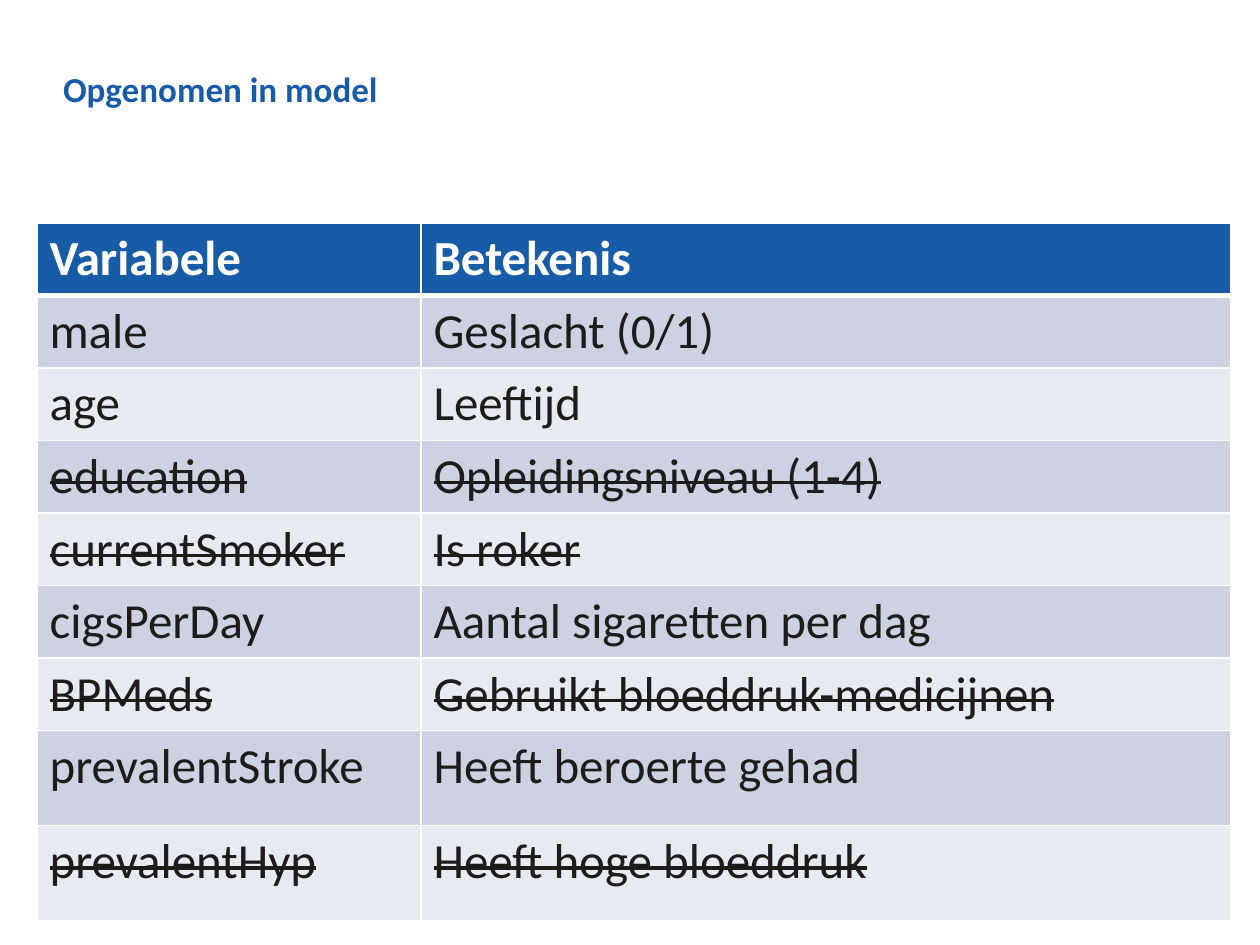
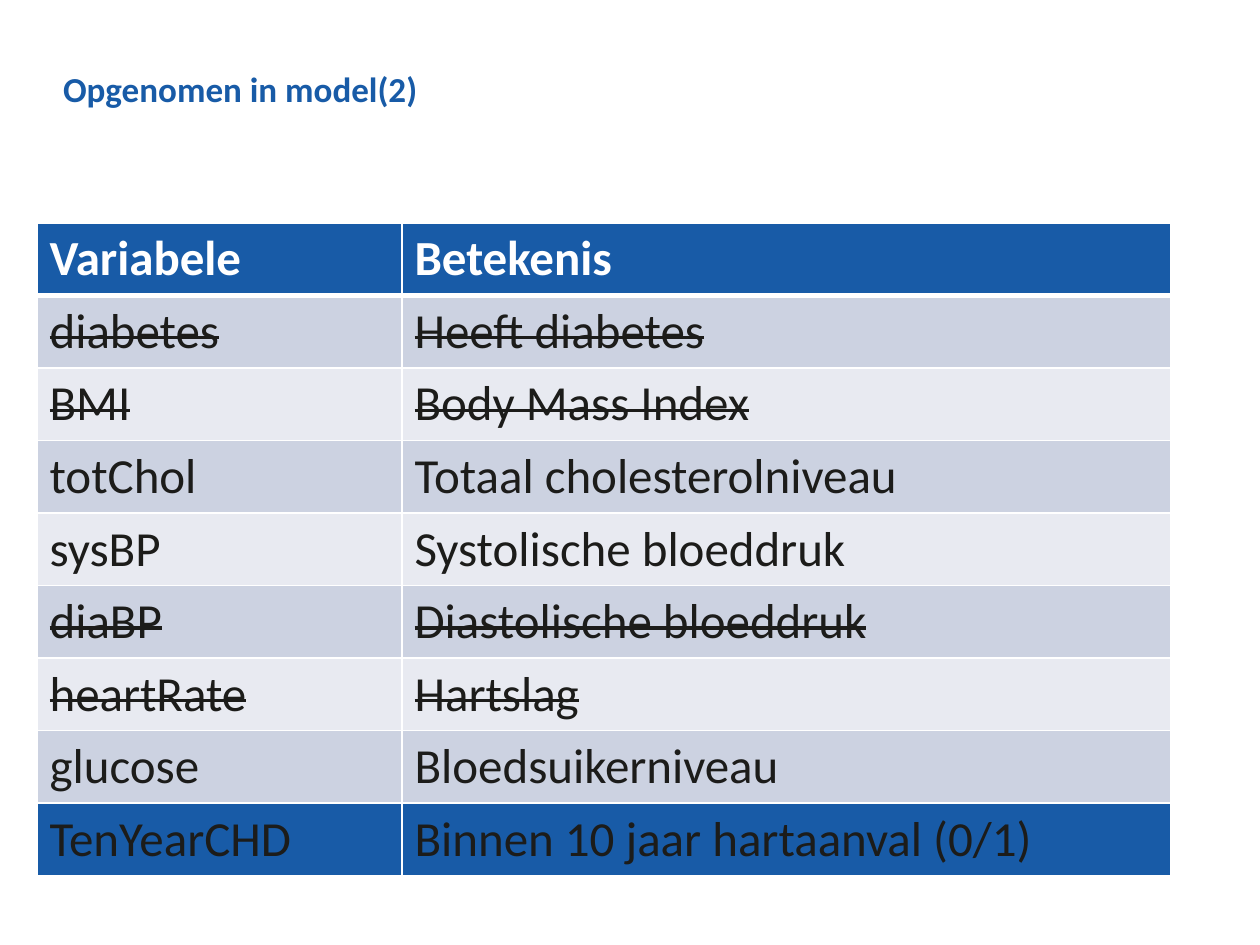
from lxml import etree
from pptx import Presentation
from pptx import util as u
from pptx.dml.color import RGBColor
from pptx.enum import text
from pptx.oxml.ns import qn

PIXELS_PER_INCH = 126
FONT = "Calibri"
BLUE, WHITE, INK = "185BA7", "FFFFFF", "1C1C1A"
BANDS = ("CCD2E1", "E8EAF1")
HEADINGS = ("Variabele", "Betekenis")
TABLE_LEFT, TABLE_TOP = 37, 223
ROW_HEIGHT, TALL_ROW_HEIGHT = 72, 95

MODEL_ROWS = [
    ("male", "Geslacht (0/1)"),
    ("age", "Leeftijd"),
    ("education", "Opleidingsniveau (1-4)"),
    ("currentSmoker", "Is roker"),
    ("cigsPerDay", "Aantal sigaretten per dag"),
    ("BPMeds", "Gebruikt bloeddruk-medicijnen"),
    ("prevalentStroke", "Heeft beroerte gehad"),
    ("prevalentHyp", "Heeft hoge bloeddruk"),
]
MORE_MODEL_ROWS = [
    ("diabetes", "Heeft diabetes"),
    ("BMI", "Body Mass Index"),
    ("totChol", "Totaal cholesterolniveau"),
    ("sysBP", "Systolische bloeddruk"),
    ("diaBP", "Diastolische bloeddruk"),
    ("heartRate", "Hartslag"),
    ("glucose", "Bloedsuikerniveau"),
    ("TenYearCHD", "Binnen 10 jaar hartaanval (0/1)"),
]
EXCLUDED = {"education", "currentSmoker", "BPMeds", "prevalentHyp",
            "diabetes", "BMI", "diaBP", "heartRate"}
TALL = {"prevalentStroke", "prevalentHyp"}
TARGET = "TenYearCHD"


def px(length):
    return u.Emu(round(length * 914400 / PIXELS_PER_INCH))


def color(value):
    return RGBColor.from_string(value)


def format_runs(paragraph, size, value, bold=False, strike=False):
    for run in paragraph.runs:
        run.font.name = FONT
        run.font.size = u.Pt(size)
        run.font.bold = bold
        run.font.color.rgb = color(value)
        if strike:
            run._r.get_or_add_rPr().set("strike", "sngStrike")


def set_borders(cell, top, bottom):
    properties = cell._tc.get_or_add_tcPr()
    widths = {"lnL": 1, "lnR": 1, "lnT": top, "lnB": bottom}
    for position, (side, width) in enumerate(widths.items()):
        line = etree.Element(qn(f"a:{side}"), w=str(u.Pt(width)))
        fill = etree.SubElement(line, qn("a:solidFill"))
        etree.SubElement(fill, qn("a:srgbClr"), val=WHITE)
        properties.insert(position, line)


def add_title(slide, title):
    shape = slide.shapes.title
    shape.left, shape.top, shape.width, shape.height = map(px, (63, 38, 1134, 107))
    frame = shape.text_frame
    frame.text = title
    frame.margin_left = frame.margin_right = frame.margin_top = frame.margin_bottom = 0
    frame.vertical_anchor = text.MSO_ANCHOR.MIDDLE
    frame.auto_size = text.MSO_AUTO_SIZE.NONE
    paragraph = frame.paragraphs[0]
    paragraph.alignment = text.PP_ALIGN.LEFT
    paragraph.line_spacing = 0.9
    format_runs(paragraph, 20, BLUE, bold=True)


def fill_cell(cell, content, row_index, variable):
    is_header = row_index == 0
    cell.text = content
    format_runs(cell.text_frame.paragraphs[0], 28, WHITE if is_header else INK,
                bold=is_header, strike=variable in EXCLUDED)
    is_blue = is_header or variable == TARGET
    cell.fill.solid()
    cell.fill.fore_color.rgb = color(BLUE if is_blue else BANDS[(row_index - 1) % 2])
    set_borders(cell, top=3 if row_index == 1 else 1, bottom=3 if is_header else 1)


def add_variable_table(slide, variables, column_widths):
    rows = [HEADINGS] + variables
    heights = [TALL_ROW_HEIGHT if name in TALL else ROW_HEIGHT for name, _ in rows]
    table = slide.shapes.add_table(
        len(rows), len(HEADINGS), px(TABLE_LEFT), px(TABLE_TOP),
        px(sum(column_widths)), px(sum(heights))).table
    for column, width in zip(table.columns, column_widths):
        column.width = px(width)
    for row_index, row in enumerate(rows):
        table.rows[row_index].height = px(heights[row_index])
        for column_index, content in enumerate(row):
            fill_cell(table.cell(row_index, column_index), content, row_index, row[0])


def add_variable_slide(presentation, title, variables, column_widths):
    slide = presentation.slides.add_slide(presentation.slide_layouts[5])
    add_variable_table(slide, variables, column_widths)
    add_title(slide, title)


def main():
    presentation = Presentation()
    presentation.slide_width, presentation.slide_height = px(1260), px(945)
    add_variable_slide(presentation, "Opgenomen in model", MODEL_ROWS, (384, 810))
    add_variable_slide(presentation, "Opgenomen in model(2)", MORE_MODEL_ROWS, (365, 769))
    presentation.save("out.pptx")


if __name__ == "__main__":
    main()
